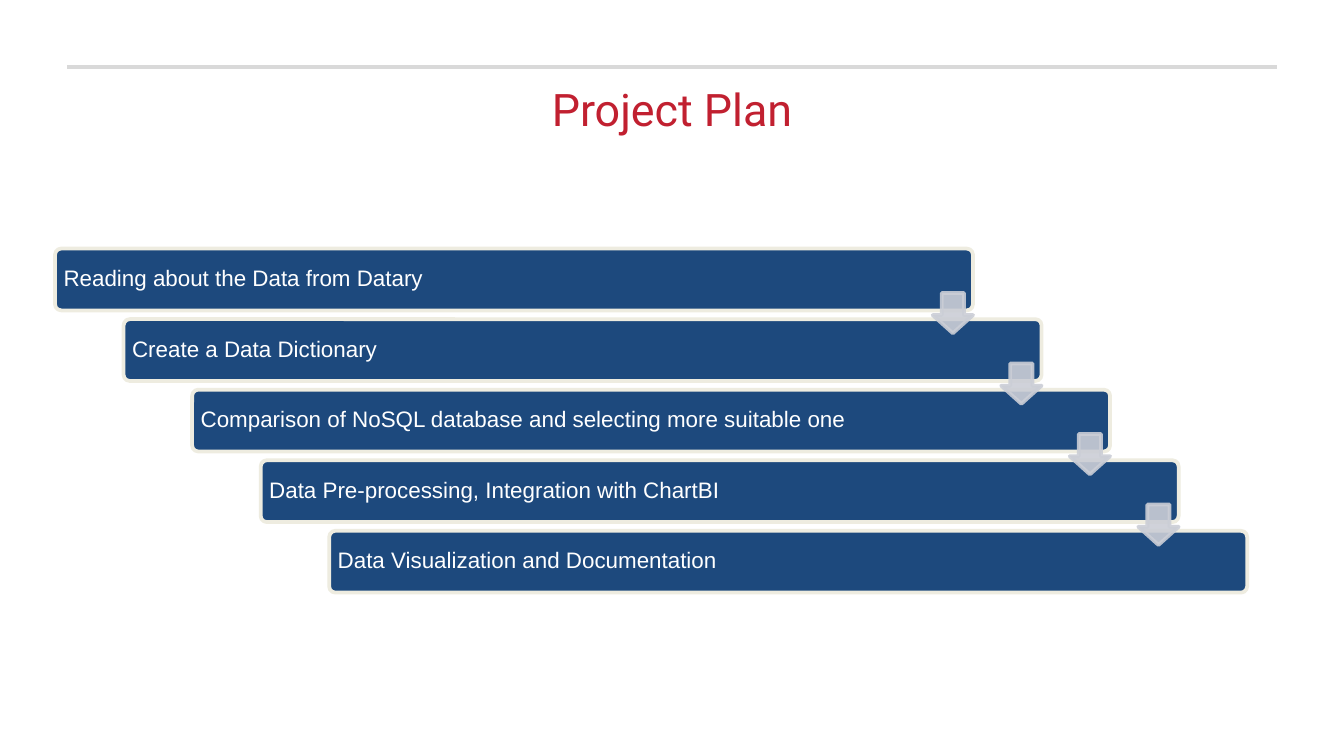
from lxml.etree import SubElement
from pptx import Presentation
from pptx.dml.color import RGBColor
from pptx.enum.shapes import MSO_CONNECTOR as Connector, MSO_SHAPE as Shape
from pptx.enum.text import MSO_ANCHOR as Anchor, PP_ALIGN as Align
from pptx.oxml.ns import qn
from pptx.util import Inches, Pt

TITLE = "Project Plan"
STEPS = [
    "Reading about the Data from Datary",
    "Create a Data Dictionary",
    "Comparison of NoSQL database and selecting more suitable one",
    "Data Pre-processing, Integration with ChartBI",
    "Data Visualization and Documentation",
]
COLORS = {
    "rule": "D9D9D9",
    "title": "C12030",
    "bar": "1D497D",
    "edge": "EEECE0",
    "arrow": "CBCED6",
    "text": "FFFFFF",
}
TITLE_FONT = {"name": "Roboto", "size": Pt(24)}
STEP_FONT = {"name": "Arial", "size": Pt(12)}

PAGE_WIDTH = 10
PAGE_HEIGHT = PAGE_WIDTH * 9 / 16
BAR_LEFT, BAR_TOP, BAR_WIDTH, BAR_HEIGHT = 0.41, 1.85, 6.83, 0.46
SHIFT_X, SHIFT_Y = 0.51, 2.1 / 4
ARROW_LEFT, ARROW_TOP, ARROW_SIZE = 6.94, 2.18, 0.3


def color(name):
    return RGBColor.from_string(COLORS[name])


def set_format(target, values):
    for name, value in values.items():
        setattr(target, name, value)


def write(box, text, font, ink, inset, **layout):
    frame = box.text_frame
    set_format(frame, {
        "word_wrap": True,
        "vertical_anchor": Anchor.MIDDLE,
        "margin_left": Inches(inset),
        "margin_right": Inches(inset),
        "margin_top": Inches(0.05),
        "margin_bottom": Inches(0.05),
    })
    para = frame.paragraphs[0]
    set_format(para, layout)
    span = para.add_run()
    span.text = text
    set_format(span.font, font)
    span.font.color.rgb = color(ink)


def add_block(page, kind, bounds, fill, edge, adjustments):
    block = page.shapes.add_shape(kind, *map(Inches, bounds))
    block.shadow.inherit = False
    block.fill.solid()
    block.fill.fore_color.rgb = color(fill)
    block.line.color.rgb = color(edge)
    block.line.width = Pt(2)
    for index, value in enumerate(adjustments):
        block.adjustments[index] = value
    return block


deck = Presentation()
set_format(deck, {"slide_width": Inches(PAGE_WIDTH), "slide_height": Inches(PAGE_HEIGHT)})
page = deck.slides.add_slide(deck.slide_layouts[6])

rule = page.shapes.add_connector(
    Connector.STRAIGHT, Inches(0.5), Inches(0.5), Inches(9.5), Inches(0.5))
rule.line.color.rgb = color("rule")
rule.line.width = Pt(2)
SubElement(rule._element.spPr, qn("a:effectLst"))

title = page.shapes.add_textbox(*map(Inches, (0.34, 0.49, 9.32, 0.63)))
write(title, TITLE, TITLE_FONT, "title", 0.1, alignment=Align.CENTER)

for index, step in enumerate(STEPS):
    bounds = (BAR_LEFT + index * SHIFT_X, BAR_TOP + index * SHIFT_Y,
              BAR_WIDTH, BAR_HEIGHT)
    bar = add_block(page, Shape.ROUNDED_RECTANGLE, bounds, "bar", "edge", [0.1])
    write(bar, step, STEP_FONT, "text", 0.05,
          alignment=Align.LEFT, line_spacing=0.9)

for index in range(len(STEPS) - 1):
    bounds = (ARROW_LEFT + index * SHIFT_X, ARROW_TOP + index * SHIFT_Y,
              ARROW_SIZE, ARROW_SIZE)
    arrow = add_block(page, Shape.DOWN_ARROW, bounds, "arrow", "arrow", [0.55, 0.45])
    for tint in arrow._element.spPr.iter(qn("a:srgbClr")):
        SubElement(tint, qn("a:alpha"), val="90000")

deck.save("out.pptx")
